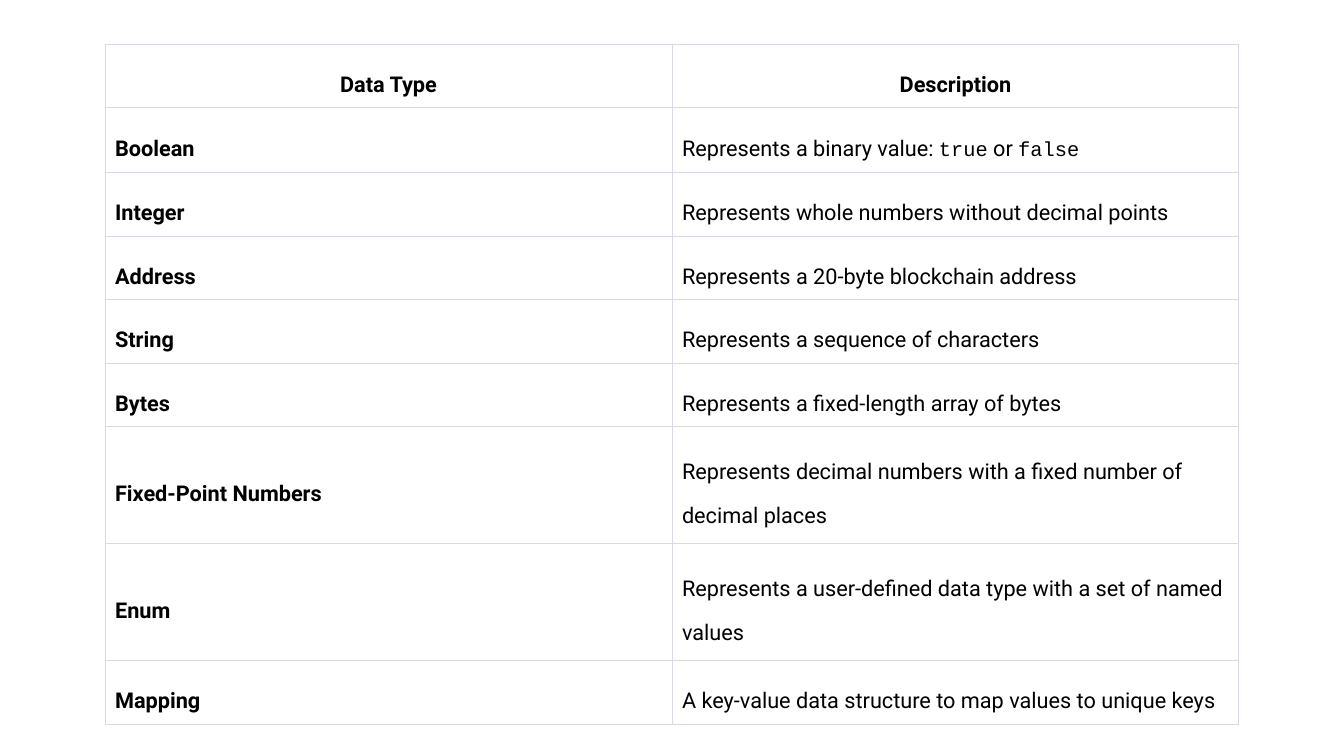
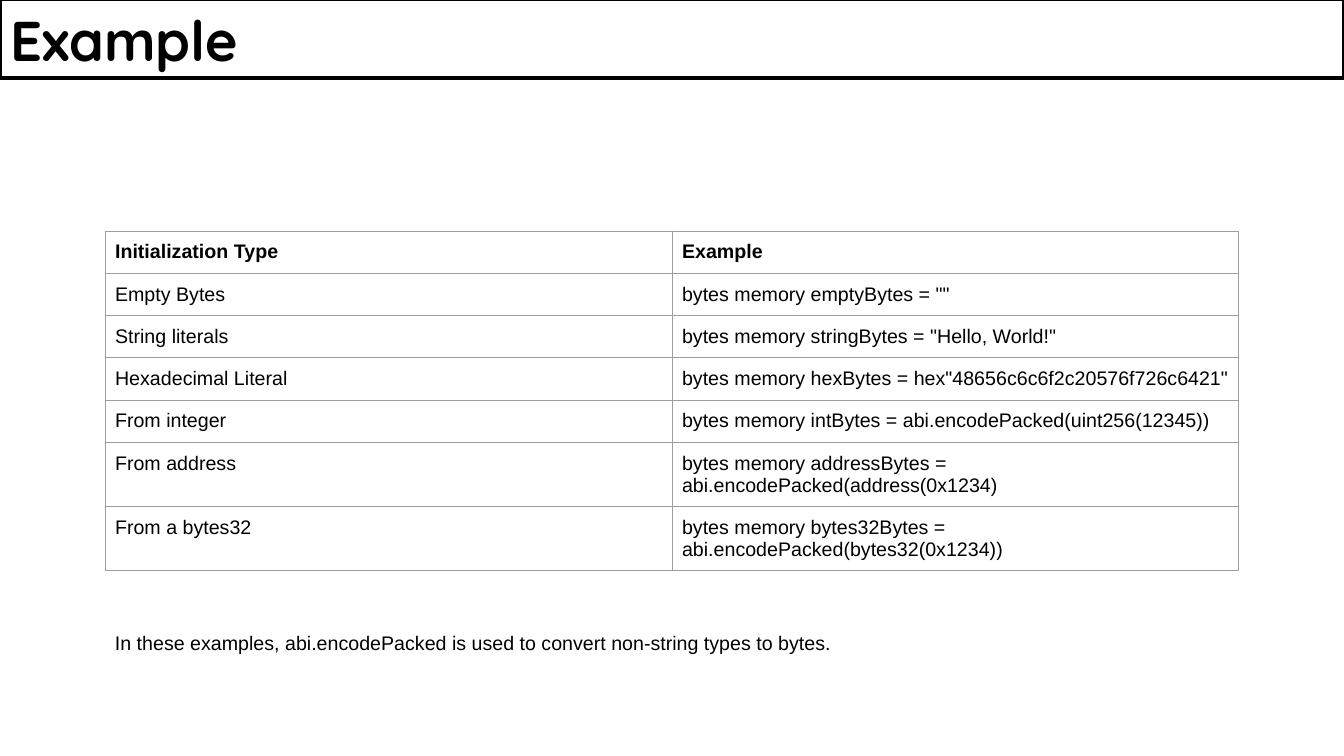
"""Build two slides on data types and byte examples."""
from dataclasses import dataclass

from lxml.etree import SubElement
from pptx import Presentation
from pptx.dml.color import RGBColor
from pptx.enum.text import MSO_ANCHOR, MSO_AUTO_SIZE, PP_ALIGN
from pptx.oxml.ns import qn
from pptx.slide import Slide
from pptx.table import _Cell
from pptx.text.text import TextFrame, _Paragraph, _Run
from pptx.util import Pt


@dataclass(frozen=True)
class Theme:
    """Colours, fonts, sizes and shared lengths in points."""

    ink: str = "000000"
    pale: str = "D9D9E3"
    grey: str = "9E9E9E"
    head: str = "Quicksand"
    body: str = "Roboto"
    plain: str = "Arial"
    mono: str = "Courier New"
    title: float = 40
    large: float = 15.5
    code: float = 14.5
    small: float = 14
    wide: float = 960
    high: float = 540
    left: float = 75
    span: float = 810
    pad: float = 7.2
    rule: float = 0.75


@dataclass(frozen=True)
class Look:
    """Style of one table."""

    edge: str
    font: str
    size: float
    bold: bool = False
    top: MSO_ANCHOR = MSO_ANCHOR.TOP
    mid: MSO_ANCHOR = MSO_ANCHOR.TOP
    align: PP_ALIGN = PP_ALIGN.LEFT
    lead: float | None = None
    gap: float | None = None


@dataclass(frozen=True)
class Row:
    """Two cell texts and a row height."""

    key: str
    value: str
    high: float


THEME = Theme()
AIRY = Look(THEME.pale, THEME.body, THEME.large, True, MSO_ANCHOR.BOTTOM,
            MSO_ANCHOR.MIDDLE, PP_ALIGN.CENTER, 1.71, 19)
TIGHT = Look(THEME.grey, THEME.plain, THEME.small)
LOW, TALL, SLIM = 42.5, 83.5, 30.2

TYPES = [
    Row("Data Type", "Description", LOW),
    Row("Boolean", "Represents a binary value: `true` or `false`", LOW),
    Row("Integer", "Represents whole numbers without decimal points", LOW),
    Row("Address", "Represents a 20-byte blockchain address", LOW),
    Row("String", "Represents a sequence of characters", LOW),
    Row("Bytes", "Represents a fixed-length array of bytes", LOW),
    Row("Fixed-Point Numbers",
        "Represents decimal numbers with a fixed number of decimal places", TALL),
    Row("Enum",
        "Represents a user-defined data type with a set of named values", TALL),
    Row("Mapping", "A key-value data structure to map values to unique keys", LOW),
]
BYTES = [
    Row("Initialization Type", "Example", SLIM),
    Row("Empty Bytes", 'bytes memory emptyBytes = ""', SLIM),
    Row("String literals", 'bytes memory stringBytes = "Hello, World!"', SLIM),
    Row("Hexadecimal Literal",
        'bytes memory hexBytes = hex"48656c6c6f2c20576f726c6421"', SLIM),
    Row("From integer",
        "bytes memory intBytes = abi.encodePacked(uint256(12345))", SLIM),
    Row("From address",
        "bytes memory addressBytes = abi.encodePacked(address(0x1234)", SLIM),
    Row("From a bytes32",
        "bytes memory bytes32Bytes = abi.encodePacked(bytes32(0x1234))", SLIM),
]
NOTE = ("In these examples, abi.encodePacked is used to convert "
        "non-string types to bytes.")


def style(run: _Run, font: str, size: float, bold: bool = False) -> None:
    """Set the font of a run."""
    run.font.name = font
    run.font.size = Pt(size)
    run.font.bold = bold
    run.font.color.rgb = RGBColor.from_string(THEME.ink)


def write(para: _Paragraph, text: str, look: Look, bold: bool) -> None:
    """Write text, with parts between backticks in the code font."""
    for spot, part in enumerate(text.split("`")):
        if part:
            run = para.add_run()
            run.text = part
            if spot % 2:
                style(run, THEME.mono, THEME.code)
            else:
                style(run, look.font, look.size, bold)


def inset(item: _Cell | TextFrame, side: float, end: float) -> None:
    """Set the side and end margins of a cell or frame."""
    item.margin_left = item.margin_right = Pt(side)
    item.margin_top = item.margin_bottom = Pt(end)


def frame(cell: _Cell, edge: str) -> None:
    """Clear the fill of a cell and rule its four sides."""
    cell.fill.background()
    props = cell._tc.get_or_add_tcPr()
    for spot, side in enumerate(("lnL", "lnR", "lnT", "lnB")):
        line = SubElement(props, qn(f"a:{side}"), w=str(Pt(THEME.rule)))
        fill = SubElement(line, qn("a:solidFill"))
        SubElement(fill, qn("a:srgbClr"), val=edge)
        props.insert(spot, line)


def grid(slide: Slide, rows: list[Row], top: float, look: Look) -> None:
    """Draw a two-column table."""
    high = sum(row.high for row in rows)
    table = slide.shapes.add_table(
        len(rows), 2, Pt(THEME.left), Pt(top), Pt(THEME.span), Pt(high)).table
    table.first_row = table.horz_banding = False
    for col in table.columns:
        col.width = Pt(THEME.span / 2)
    for y, row in enumerate(rows):
        table.rows[y].height = Pt(row.high)
        for x, text in enumerate((row.key, row.value)):
            cell = table.cell(y, x)
            frame(cell, look.edge)
            inset(cell, THEME.pad, THEME.pad)
            cell.vertical_anchor = look.mid if y else look.top
            para = cell.text_frame.paragraphs[0]
            para.alignment = PP_ALIGN.LEFT if y else look.align
            if look.lead:
                para.line_spacing = look.lead
                para.space_before = para.space_after = Pt(look.gap)
            write(para, text, look, y == 0 or (look.bold and x == 0))


def banner(slide: Slide, text: str) -> None:
    """Place the outlined title across the top."""
    title = slide.shapes.title
    title.left, title.top = Pt(0), Pt(-0.5)
    title.width, title.height = Pt(THEME.wide), Pt(56.5)
    title.line.color.rgb = RGBColor.from_string(THEME.ink)
    title.line.width = Pt(3)
    body = title.text_frame
    body.text = text
    body.auto_size = MSO_AUTO_SIZE.NONE
    body.vertical_anchor = MSO_ANCHOR.MIDDLE
    inset(body, THEME.pad, THEME.pad / 2)
    body.paragraphs[0].alignment = PP_ALIGN.LEFT
    style(body.paragraphs[0].runs[0], THEME.head, THEME.title, True)


def note(slide: Slide, text: str, top: float) -> None:
    """Place a line of text under the table."""
    box = slide.shapes.add_textbox(
        Pt(THEME.left), Pt(top), Pt(THEME.span), Pt(31.5))
    body = box.text_frame
    body.word_wrap = True
    body.auto_size = MSO_AUTO_SIZE.SHAPE_TO_FIT_TEXT
    inset(body, THEME.pad, THEME.pad)
    body.text = text
    style(body.paragraphs[0].runs[0], THEME.plain, THEME.small)


def main() -> None:
    """Build and save the slides."""
    deck = Presentation()
    deck.slide_width, deck.slide_height = Pt(THEME.wide), Pt(THEME.high)
    bare = deck.slide_layouts.get_by_name("Blank")
    named = deck.slide_layouts.get_by_name("Title Only")
    grid(deck.slides.add_slide(bare), TYPES, 31.5, AIRY)
    slide = deck.slides.add_slide(named)
    banner(slide, "Example")
    grid(slide, BYTES, 165, TIGHT)
    note(slide, NOTE, 443.5)
    deck.save("out.pptx")


if __name__ == "__main__":
    main()
